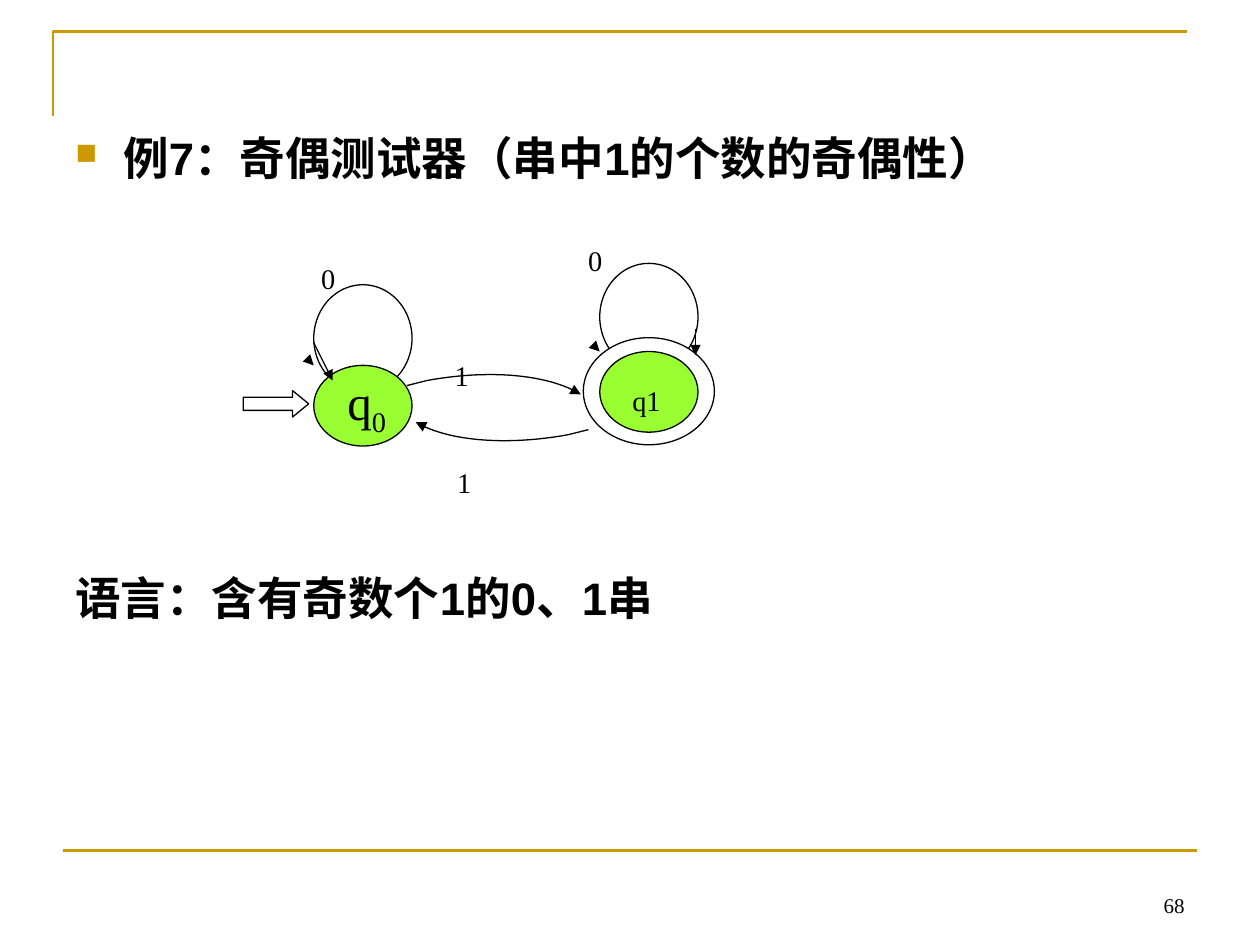
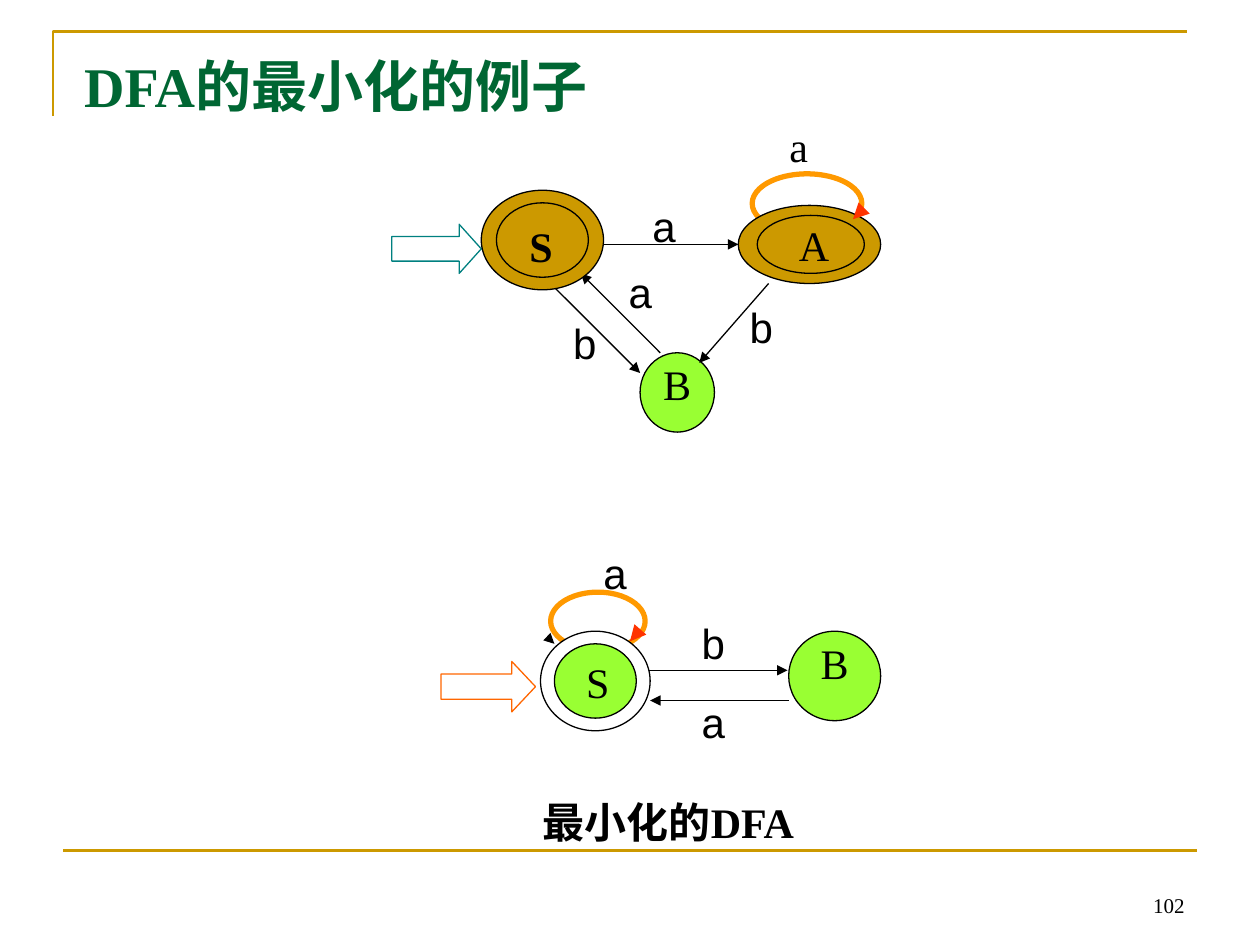
"""Build two slides of automaton diagrams: a parity tester and a minimized DFA."""
from dataclasses import dataclass
from typing import Any, Optional

from lxml import etree
from pptx import Presentation
from pptx import util as u
from pptx.dml import color
from pptx.enum import shapes, text
from pptx.oxml import ns

HUES = {"gold": "CC9900", "black": "000000", "white": "FFFFFF", "lime": "99FF33",
        "green": "006633", "teal": "008080", "amber": "FF9900", "red": "FF3300",
        "orange": "FF6600"}
SERIF, SANS = "Times New Roman", "Arial"
OVAL, BLOCK = shapes.MSO_SHAPE.OVAL, shapes.MSO_SHAPE.RIGHT_ARROW
TOP, MID, BASE = (text.MSO_ANCHOR.TOP, text.MSO_ANCHOR.MIDDLE, text.MSO_ANCHOR.BOTTOM)
LEFT, MIDST, RIGHT = text.PP_ALIGN.LEFT, text.PP_ALIGN.CENTER, text.PP_ALIGN.RIGHT


@dataclass
class Node:
    """An oval state, a loop, or a block arrow when tip is given."""
    box: tuple
    fill: Optional[str] = None
    line: str = "black"
    width: float = 0.75
    tip: Optional[float] = None


@dataclass
class Edge:
    """A straight line, with an arrowhead unless told otherwise."""
    start: tuple
    end: tuple
    line: str = "black"
    width: float = 0.75
    head: bool = True


@dataclass
class Curve:
    """A line through a start point, then a cubic curve of four points."""
    start: tuple
    knots: tuple


@dataclass
class Label:
    """Text in a box; sub is lowered text that follows it."""
    words: str
    box: tuple
    sub: str = ""
    size: float = 24
    font: str = SERIF
    hue: str = "black"
    bold: bool = False
    align: Any = LEFT
    anchor: Any = TOP
    wrap: bool = True
    pitch: Optional[float] = None
    indent: float = 0
    bullet: bool = False


def apply(thing: Any, values: dict) -> None:
    """Set each named value on an object."""
    for name, value in values.items():
        setattr(thing, name, value)


def rgb(hue: str) -> color.RGBColor:
    """Look up a colour by name."""
    return color.RGBColor.from_string(HUES[hue])


def inches(values: tuple) -> list:
    """Turn numbers into lengths."""
    return [u.Inches(value) for value in values]


def add(parent: Any, tag: str, **values: str) -> Any:
    """Append a drawing element with attributes."""
    return etree.SubElement(parent, ns.qn(tag), values)


def stroke(shape: Any, hue: str, width: float, head: bool = False) -> None:
    """Colour an outline and give it an arrowhead if asked."""
    shape.line.color.rgb = rgb(hue)
    shape.line.width = u.Pt(width)
    if head:
        add(shape._element.spPr.find(ns.qn("a:ln")), "a:tailEnd", type="triangle")


def draw_node(slide: Any, node: Node) -> None:
    """Draw a state or a block arrow."""
    kind = BLOCK if node.tip else OVAL
    shape = slide.shapes.add_shape(kind, *inches(node.box))
    shape.shadow.inherit = False
    if node.tip:
        shape.adjustments[0], shape.adjustments[1] = 0.5, node.tip
    if node.fill:
        shape.fill.solid()
        shape.fill.fore_color.rgb = rgb(node.fill)
    else:
        shape.fill.background()
    stroke(shape, node.line, node.width)


def draw_edge(slide: Any, edge: Edge) -> None:
    """Draw a straight connector."""
    line = slide.shapes.add_connector(shapes.MSO_CONNECTOR.STRAIGHT,
                                      *inches(edge.start + edge.end))
    stroke(line, edge.line, edge.width, edge.head)
    add(line._element.spPr, "a:effectLst")


def draw_path(slide: Any, points: list, hue: str, width: float, head: bool) -> None:
    """Draw an open outline through points."""
    first, *rest = [tuple(inches(point)) for point in points]
    pen = slide.shapes.build_freeform(*first)
    pen.add_line_segments(rest, close=False)
    shape = pen.convert_to_shape()
    shape.shadow.inherit = False
    shape.fill.background()
    stroke(shape, hue, width, head)


def draw_curve(slide: Any, curve: Curve, steps: int = 24) -> None:
    """Draw a curved arrow."""
    points = [curve.start]
    for step in range(steps + 1):
        t = step / steps
        shares = ((1 - t) ** 3, 3 * t * (1 - t) ** 2, 3 * t * t * (1 - t), t ** 3)
        points.append(tuple(sum(share * knot[axis] for share, knot
                                in zip(shares, curve.knots)) for axis in (0, 1)))
    draw_path(slide, points, "black", 0.75, True)


def draw_label(slide: Any, label: Label) -> None:
    """Draw a box of text."""
    frame = slide.shapes.add_textbox(*inches(label.box)).text_frame
    apply(frame, {"word_wrap": label.wrap, "vertical_anchor": label.anchor})
    para = frame.paragraphs[0]
    apply(para, {"alignment": label.align, "line_spacing": label.pitch})
    props = para._p.get_or_add_pPr()
    if label.indent:
        props.set("marL", str(u.Inches(label.indent)))
    if label.bullet:
        props.set("indent", str(-u.Inches(label.indent)))
        add(add(props, "a:buClr"), "a:srgbClr", val=HUES["gold"])
        add(props, "a:buSzPct", val="65000")
        add(props, "a:buChar", char="■")
    for words, low in ((label.words, False), (label.sub, True)):
        if words:
            run = para.add_run()
            run.text = words
            apply(run.font, {"size": u.Pt(label.size), "name": label.font,
                             "bold": label.bold})
            run.font.color.rgb = rgb(label.hue)
            if low:
                run._r.get_or_add_rPr().set("baseline", "-25000")


DRAW = {Node: draw_node, Edge: draw_edge, Curve: draw_curve, Label: draw_label}


def body(words: str, top: float, **more: Any) -> Label:
    """Make a line of body text."""
    return Label(words, (0.5, top, 9, 0.55), size=26, font=SANS, bold=True,
                 pitch=0.8, **more)


def small(words: str, left: float, top: float, width: float = 1.3) -> Label:
    """Make a lowered label for the parity tester."""
    return Label("", (left, top, width, 0.64), sub=words, size=28)


def mark(words: str, left: float, top: float) -> Label:
    """Make an edge label for the DFA."""
    return Label(words, (left, top, 0.38, 0.5), font=SANS, wrap=False)


def name(words: str, *box: float, **more: Any) -> Label:
    """Make a centred state name."""
    return Label(words, box, align=MIDST, **more)


def stub(x: float, y: float) -> Edge:
    """Make a bare arrowhead whose tip is at a point."""
    return Edge((x - 0.01, y - 0.01), (x, y))


PARITY = [
    body("例7：奇偶测试器（串中1的个数的奇偶性）", 1.07, indent=0.38, bullet=True),
    body("语言：含有奇数个1的0、1串", 4.56),
    Node((1.93, 3.1, 0.52, 0.21), "white", tip=0.61),
    Node((2.49, 2.26, 0.78, 0.85), "white"),
    Node((2.49, 2.9, 0.78, 0.64), "lime"),
    name("q", 2.52, 2.9, 0.78, 0.64, sub="0", size=28),
    stub(2.49, 2.9),
    Edge((2.49, 2.72), (2.64, 3.02)),
    small("0", 4.57, 1.62),
    Node((4.76, 2.09, 0.78, 0.85), "white"),
    Node((4.63, 2.68, 1.04, 0.85), "white"),
    Node((4.76, 2.79, 0.78, 0.64), "lime"),
    small("q1", 4.92, 2.73, 0.78),
    stub(4.76, 2.79),
    Edge((5.52, 2.61), (5.52, 2.82)),
    small("0", 2.45, 1.76),
    Curve((4.67, 3.41), ((4.51, 3.45), (4.02, 3.54), (3.55, 3.5), (3.3, 3.35))),
    small("1", 3.53, 3.38),
    Curve((3.23, 3.06), ((3.39, 3.02), (3.88, 2.93), (4.35, 2.97), (4.61, 3.13))),
    small("1", 3.51, 2.53),
]

MINIMAL = [
    Label("DFA的最小化的例子", (0.35, 0.36, 8.15, 0.89), size=32, hue="green",
          bold=True, indent=0.22),
    Node((5.97, 1.38, 0.87, 0.47), line="amber", width=3),
    Node((5.86, 1.63, 1.13, 0.62), "gold"),
    Node((6.01, 1.71, 0.85, 0.46), "gold"),
    name("A", 6.24, 1.69, 0.44, 0.5, anchor=MID, wrap=False),
    name("a", 6.04, 0.91, 0.6, 0.5, anchor=MID, wrap=False),
    Edge((6.85, 1.66), (6.77, 1.74), "red", 3),
    Node((3.11, 1.78, 0.71, 0.39), line="teal", tip=0.45),
    Node((5.08, 2.8, 0.59, 0.63), "lime"),
    name("B", 5.08, 2.8, 0.59, 0.63),
    Edge((4.68, 1.94), (5.86, 1.94)),
    Edge((6.1, 2.25), (5.55, 2.88)),
    Edge((4.37, 2.25), (5.08, 2.96)),
    Edge((5.24, 2.8), (4.61, 2.17)),
    mark("b", 4.45, 2.47),
    mark("b", 5.85, 2.34),
    mark("a", 5.08, 1.54),
    mark("a", 4.89, 2.07),
    Node((3.82, 1.51, 0.97, 0.79), "gold"),
    Node((3.94, 1.61, 0.73, 0.59), "gold"),
    name("S", 3.98, 1.7, 0.63, 0.5, anchor=MID, bold=True),
    Node((4.37, 4.7, 0.75, 0.46), line="amber", width=3),
    Node((6.26, 5.01, 0.73, 0.71), "lime"),
    name("B", 6.26, 5.01, 0.73, 0.71),
    Node((4.29, 5.01, 0.87, 0.79), "white"),
    Node((4.4, 5.11, 0.65, 0.59), "lime"),
    name("S", 4.42, 5.16, 0.65, 0.59),
    stub(4.4, 5.11),
    Edge((5.15, 5.32), (6.25, 5.32)),
    mark("a", 4.69, 4.3),
    mark("b", 5.47, 4.85),
    mark("a", 5.47, 5.48),
    Node((3.5, 5.25, 0.75, 0.4), line="orange", tip=0.47),
    Edge((5.07, 5.01), (5, 5.09), "red", 3),
    Edge((6.26, 5.56), (5.16, 5.56)),
    Label("最小化的DFA", (4.21, 6.27, 2.68, 0.5), bold=True),
]


def draw_slide(deck: Any, page: int, items: list) -> None:
    """Draw the shared frame, the diagram and the page number."""
    slide = deck.slides.add_slide(deck.slide_layouts[6])
    draw_path(slide, [(0.42, 0.92), (0.42, 0.25), (9.42, 0.25)], "gold", 1.5, False)
    draw_edge(slide, Edge((0.5, 6.75), (9.5, 6.75), "gold", 1.5, False))
    folio = Label(str(page), (7.17, 6.83, 2.33, 0.5), size=12, align=RIGHT, anchor=BASE)
    for item in items + [folio]:
        DRAW[type(item)](slide, item)


def main() -> None:
    """Build and save the deck."""
    deck = Presentation()
    apply(deck, {"slide_width": u.Inches(10), "slide_height": u.Inches(7.5)})
    for page, items in ((68, PARITY), (102, MINIMAL)):
        draw_slide(deck, page, items)
    deck.save("out.pptx")


if __name__ == "__main__":
    main()
